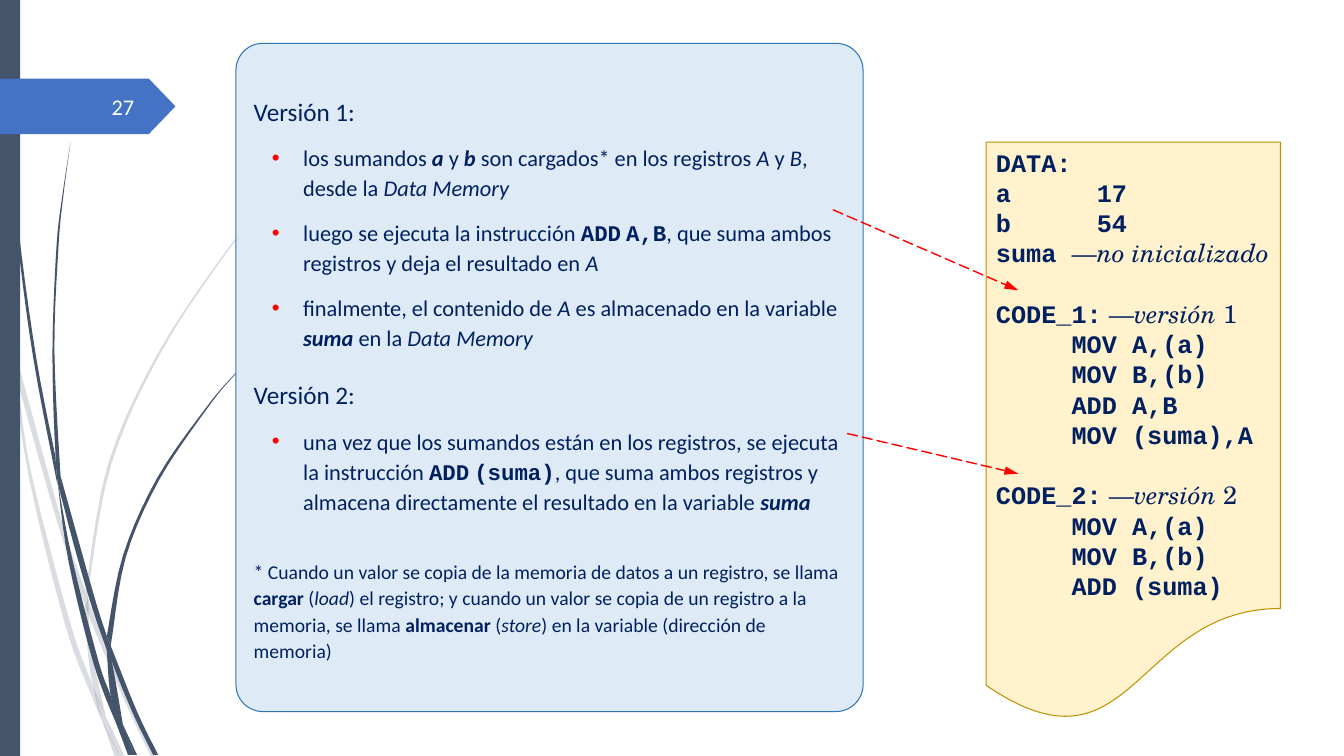
from pptx import Presentation, util as u
from pptx.dml.color import RGBColor
from pptx.enum import dml, shapes, text
from pptx.oxml.xmlchemy import OxmlElement

hues = {"slate": "44546A", "tag": "4472C4", "white": "FEFFFF", "navy": "002060",
        "cream": "FFF2CC", "gold": "BF9000", "pale": "DEEBF7", "blue": "2E75B6", "red": "FF0000"}
bold, slant = {"bold": True}, {"italic": True}
mono = {"bold": True, "name": "Courier New"}
serif = {"bold": False, "name": "TeX Gyre Schola"}
looks = {"b": bold, "i": slant, "x": bold | slant, "m": mono, "s": serif, "t": serif | slant}


def paint(shape, fill, line=None):
    shape.shadow.inherit = False
    shape.fill.solid()
    shape.fill.fore_color.rgb = RGBColor.from_string(hues[fill])
    if line:
        shape.line.color.rgb = RGBColor.from_string(hues[line])
        shape.line.width = u.Pt(0.75)
    else:
        shape.line.fill.background()


def write(par, line, size, base, hue="navy"):
    for n, part in enumerate(line.split("|")):
        if not part:
            continue
        look = looks[part[0]] if n % 2 else {}
        run = par.add_run()
        run.text = part[1:] if n % 2 else part
        run.font.color.rgb = RGBColor.from_string(hues[hue])
        for key, val in ({"size": u.Pt(size)} | base | look).items():
            setattr(run.font, key, val)


deck = Presentation()
deck.slide_width, deck.slide_height = u.Inches(13.33), u.Inches(7.5)
slide = deck.slides.add_slide(deck.slide_layouts[6])
tree = slide.shapes

pale = [
    ([(0, 2.99), (0.1, 3.44), (0.11, 3.5)], [(0.11, 3.5), (0.09, 3.22), (0, 2.82)]),
    ([(0.14, 3.45), (0.17, 3.76), (0.58, 5.22), (0.84, 5.99)],
     [(0.85, 5.86), (0.62, 5.2), (0.14, 3.45)]),
    ([(0.88, 5.96), (0.88, 6.1), (1.23, 6.94), (1.5, 7.51)],
     [(1.55, 7.51), (1.27, 6.92), (0.92, 6.07), (0.88, 5.96)]),
    ([(1.05, 7.11), (1.19, 7.51)], [(1.24, 7.51), (1.05, 7.11)]),
    ([(0.11, 3.5), (0.28, 4.7), (0.65, 6.21), (0.92, 6.93), (1.01, 7.14)],
     [(1.01, 7.14), (0.93, 6.83), (0.7, 6.19), (0.31, 4.69), (0.17, 3.76), (0.11, 3.5)]),
    ([(0.84, 5.99), (0.87, 6.46), (0.93, 6.83), (1.05, 7.11)],
     [(1.05, 7.11), (0.91, 6.46), (0.88, 6.1), (0.84, 5.99)]),
    ([(3.12, 1.54), (2.68, 1.98), (2.29, 2.45), (1.6, 3.49), (1.1, 4.62), (0.88, 5.84), (0.88, 5.96)],
     [(0.85, 5.86), (1.07, 4.61), (1.58, 3.48), (2.28, 2.44), (2.68, 1.97), (3.12, 1.53)]),
    ([(1.01, 7.14), (1.14, 7.51)], [(1.19, 7.51), (1.01, 7.14)]),
    ([(0.88, 6.1), (0.88, 5.96)], [(0.85, 5.86), (0.84, 5.99)]),
    ([(0.93, 6.83), (1.01, 7.14), (1.19, 7.51)], [(1.19, 7.51), (1.05, 7.11), (0.93, 6.83)]),
]
dark = [
    ([(0.03, 0), (0.07, 1.1), (0.17, 2.33), (0.33, 3.55), (0.57, 4.81)],
     [(0.55, 4.53), (0.36, 3.55), (0.19, 2.32), (0.08, 1.09), (0.04, 0)]),
    ([(0.6, 4.72), (0.64, 5.05), (0.88, 5.92), (1.06, 6.45)],
     [(1.06, 6.31), (0.93, 5.9), (0.6, 4.72)]),
    ([(1.1, 6.41), (1.11, 6.56), (1.32, 7.08), (1.52, 7.49)],
     [(1.57, 7.49), (1.36, 7.06), (1.1, 6.41)]),
    ([(0.57, 4.77), (0.68, 5.57), (0.93, 6.59), (1.17, 7.22)],
     [(1.17, 7.22), (1.1, 6.91), (0.98, 6.57), (0.72, 5.56), (0.57, 4.77)]),
    ([(0.7, 1.41), (0.62, 1.93), (0.56, 2.45), (0.52, 3.49), (0.55, 4.49), (0.6, 4.72)],
     [(0.6, 4.72), (0.54, 3.49), (0.58, 2.45), (0.63, 1.93), (0.7, 1.41)]),
    ([(1.22, 7.19), (1.33, 7.49)], [(1.36, 7.49), (1.22, 7.19)]),
    ([(0.55, 4.49), (0.57, 4.77), (0.64, 5.05)], [(0.64, 5.05), (0.6, 4.72), (0.55, 4.49)]),
    ([(2.61, 3.44), (2.31, 3.74), (2.05, 4.06), (1.58, 4.76), (1.25, 5.52), (1.11, 6.33), (1.1, 6.41)],
     [(1.06, 6.31), (1.22, 5.51), (1.56, 4.74), (2.04, 4.05), (2.31, 3.73), (2.6, 3.44)]),
    ([(1.17, 7.22), (1.27, 7.49)], [(1.31, 7.49), (1.17, 7.22)]),
    ([(1.06, 6.45), (1.1, 6.91), (1.22, 7.19)], [(1.22, 7.19), (1.11, 6.56), (1.06, 6.45)]),
    ([(1.06, 6.45), (1.11, 6.56)], [(1.1, 6.41), (1.06, 6.31)]),
    ([(1.1, 6.91), (1.17, 7.22), (1.3, 7.49)], [(1.33, 7.49), (1.22, 7.19), (1.1, 6.91)]),
]
for alpha, edges in [(20, e) for e in pale] + [(100, e) for e in dark]:
    curve = []
    for edge in edges:
        pad = [edge[0], *edge, edge[-1]]
        for a, b, c, d in zip(pad, pad[1:], pad[2:], pad[3:]):
            for t in (0, 0.2, 0.4, 0.6, 0.8):
                curve.append([u.Inches(q + t / 2 * (r - p + t * (2 * p - 5 * q + 4 * r - s
                             + t * (3 * q - p - 3 * r + s)))) for p, q, r, s in zip(a, b, c, d)])
        curve.append([u.Inches(v) for v in edge[-1]])
    pen = tree.build_freeform(*curve[0])
    pen.add_line_segments(curve[1:])
    strand = pen.convert_to_shape()
    paint(strand, "slate")
    if alpha < 100:
        tone = OxmlElement("a:alpha")
        tone.set("val", str(alpha * 1000))
        strand.fill._xPr.solidFill[0].append(tone)

kinds = shapes.MSO_SHAPE
blocks = {}
for name, kind, spot, fill, line in [
    ("bar", kinds.RECTANGLE, (0, 0, 0.2, 7.5), "slate", None),
    ("tag", kinds.PENTAGON, (0, 0.78, 1.74, 0.55), "tag", None),
    ("code", kinds.FLOWCHART_DOCUMENT, (9.78, 1.41, 2.92, 5.77), "cream", "gold"),
    ("card", kinds.ROUNDED_RECTANGLE, (2.34, 0.43, 6.22, 6.63), "pale", "blue"),
]:
    blocks[name] = tree.add_shape(kind, *map(u.Inches, spot))
    paint(blocks[name], fill, line)
blocks["tag"].adjustments[0] = 0.48
blocks["card"].adjustments[0] = 0.043

page = tree.add_textbox(*map(u.Inches, (0.58, 0.86, 0.85, 0.4))).text_frame
page.word_wrap, page.vertical_anchor = True, text.MSO_ANCHOR.MIDDLE
page.paragraphs[0].alignment = text.PP_ALIGN.RIGHT
write(page.paragraphs[0], "27", 16, {"name": "Calibri"}, "white")

code = ["DATA:", "a\t\t17", "b\t\t54", "suma\t|s—||tno inicializado|",
        "CODE_1:|s —||tversión||s 1|", "\tMOV A,(a)", "\tMOV B,(b)", "\tADD A,B",
        "\tMOV (suma),A", "CODE_2:|s —||tversión||s 2|", "\tMOV A,(a)", "\tMOV B,(b)",
        "\tADD (suma)"]
frame = blocks["code"].text_frame
frame.word_wrap, frame.vertical_anchor = True, text.MSO_ANCHOR.TOP
frame.margin_top, frame.margin_right = u.Inches(0.05), 0
for n, line in enumerate(code):
    par = frame.add_paragraph() if n else frame.paragraphs[0]
    par.alignment, par.line_spacing = text.PP_ALIGN.LEFT, u.Pt(21.6)
    par.space_before = u.Pt(21.6 if line.startswith("CODE") else 0)
    tabs = OxmlElement("a:tabLst")
    for stop in (0.75, 1):
        tab = OxmlElement("a:tab")
        tab.set("pos", str(u.Inches(stop)))
        tab.set("algn", "l")
        tabs.append(tab)
    par._p.get_or_add_pPr().append(tabs)
    write(par, line, 18, mono)

notes = [
    (18, 12, False, "Versión 1:"),
    (16, 10.5, True, "los sumandos |xa| y |xb| son cargados* en los registros |iA| y |iB|, "
     "desde la |iData Memory|"),
    (16, 10.5, True, "luego se ejecuta la instrucción |mADD||b ||mA,B|, que suma ambos "
     "registros y deja el resultado en |iA|"),
    (16, 10.5, True, "finalmente, el contenido de |iA| es almacenado en la variable |xsuma| "
     "en la |iData Memory|"),
    (18, 18, False, "Versión 2:"),
    (16, 10.5, True, "una vez que los sumandos están en los registros, se ejecuta la instrucción "
     "|mADD||b ||m(suma)|, que suma ambos registros y almacena directamente el resultado "
     "en la variable |xsuma|"),
    (14, 30, False, "* Cuando un valor se copia de la memoria de datos a un registro, se llama "
     "|bcargar| (|iload|) el registro; y cuando un valor se copia de un registro a la memoria, "
     "se llama |balmacenar| (|istore|) en la variable (dirección de memoria)"),
]
frame = blocks["card"].text_frame
frame.word_wrap, frame.vertical_anchor = True, text.MSO_ANCHOR.MIDDLE
for n, (size, gap, dot, line) in enumerate(notes):
    par = frame.add_paragraph() if n else frame.paragraphs[0]
    par.alignment, par.line_spacing, par.space_before = text.PP_ALIGN.LEFT, 1.12, u.Pt(gap)
    if dot:
        par.level = 1
        props = par._p.get_or_add_pPr()
        props.set("marL", str(u.Inches(0.49)))
        props.set("indent", str(u.Inches(-0.31)))
        tint, rgb, face, mark = map(OxmlElement, ("a:buClr", "a:srgbClr", "a:buFont", "a:buChar"))
        rgb.set("val", hues["red"])
        tint.append(rgb)
        face.set("typeface", "Arial")
        mark.set("char", "•")
        props.extend([tint, face, mark])
    write(par, line, size, {"name": "Calibri"})

for ends in [(8.26, 2.08, 10.1, 2.88), (8.4, 4.3, 10.1, 4.7)]:
    arrow = tree.add_connector(shapes.MSO_CONNECTOR.STRAIGHT, *map(u.Inches, ends))
    arrow.line.color.rgb = RGBColor.from_string(hues["red"])
    arrow.line.width = u.Pt(1)
    arrow.line.dash_style = dml.MSO_LINE.LONG_DASH
    head = OxmlElement("a:tailEnd")
    for key, val in {"type": "triangle", "w": "med", "len": "lg"}.items():
        head.set(key, val)
    arrow.line._get_or_add_ln().append(head)
    arrow._element.spPr.append(OxmlElement("a:effectLst"))

deck.save("out.pptx")
